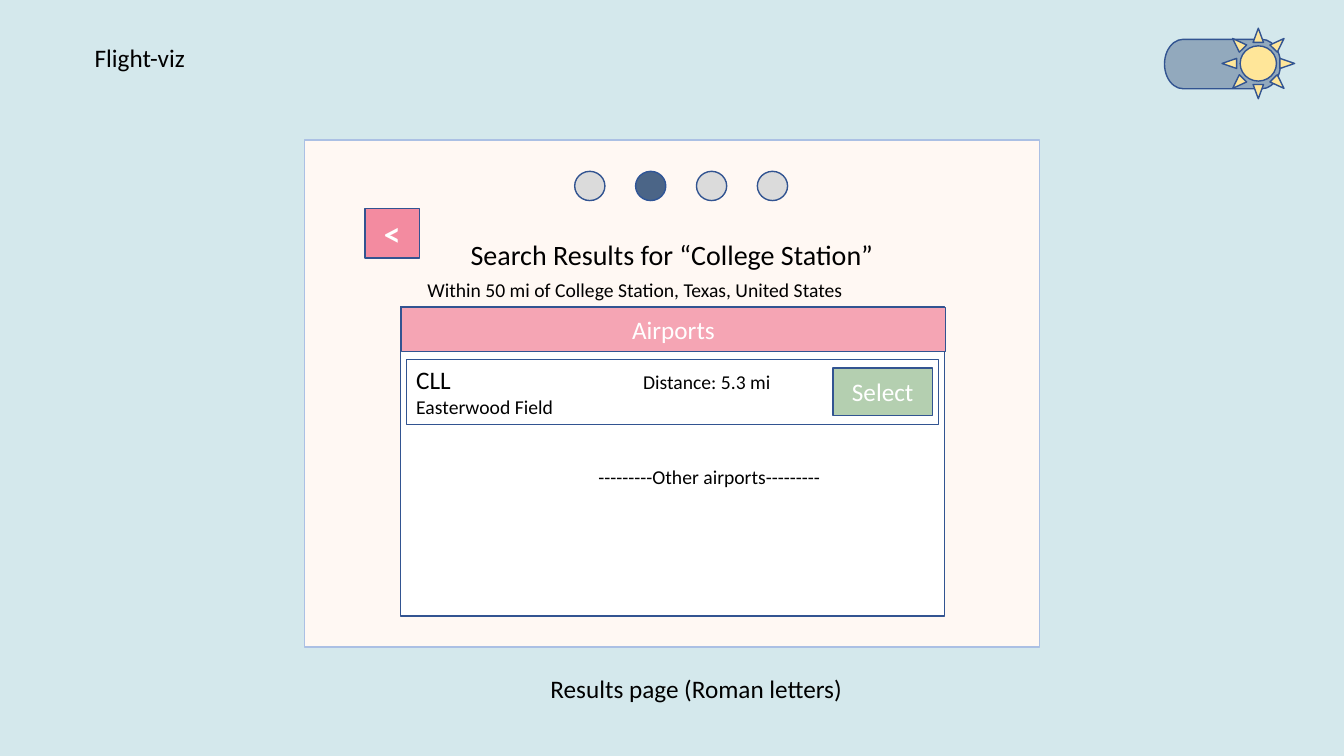
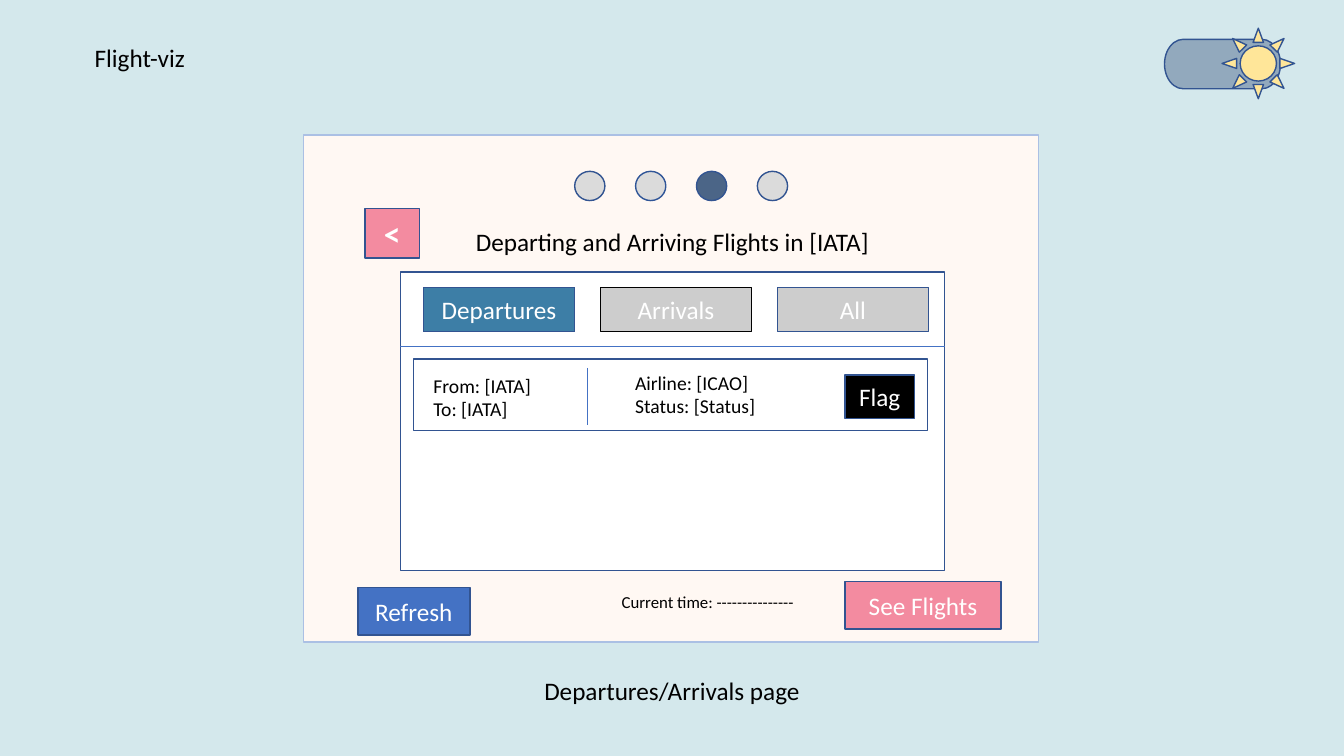
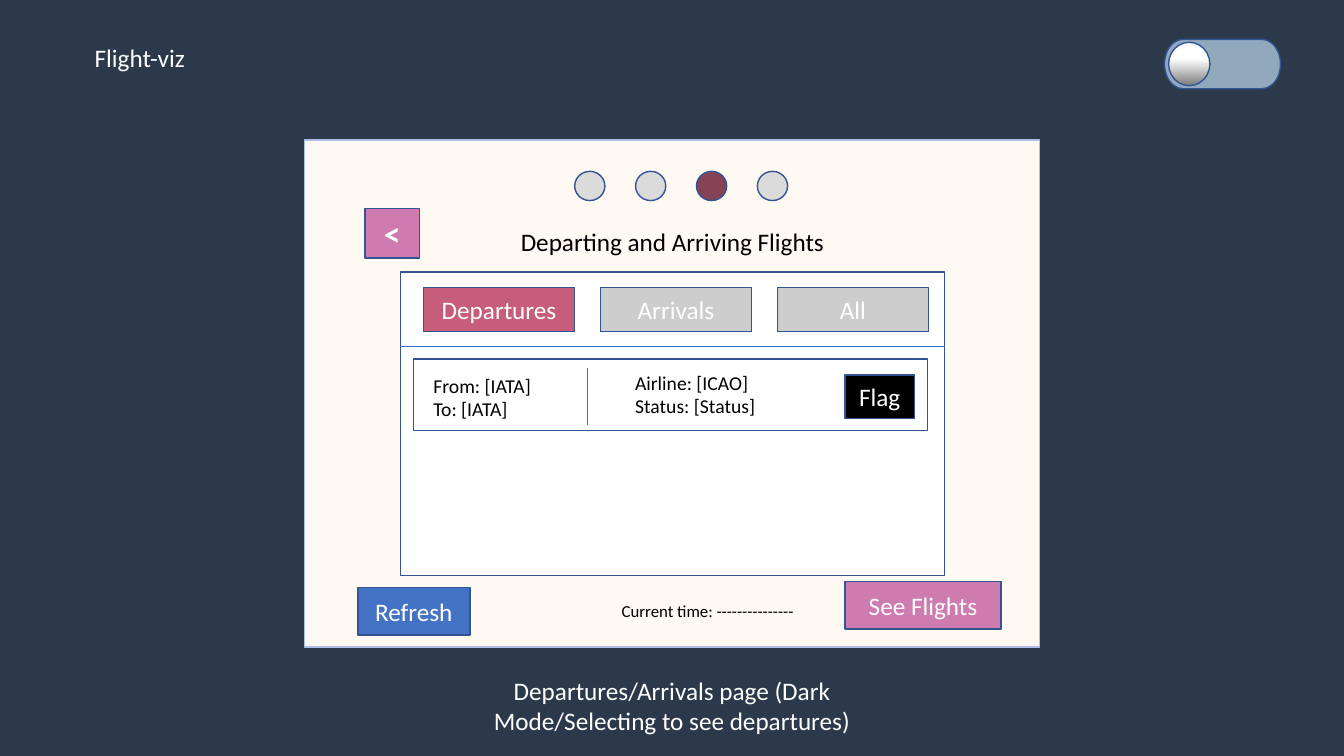
from pptx import Presentation
from pptx.dml.color import RGBColor
from pptx.enum.shapes import MSO_CONNECTOR, MSO_SHAPE
from pptx.enum.text import MSO_ANCHOR, MSO_AUTO_SIZE, PP_ALIGN
from pptx.oxml import parse_xml
from pptx.oxml.ns import nsdecls, qn
from pptx.util import Inches, Pt

RECT, PROCESS = MSO_SHAPE.RECTANGLE, MSO_SHAPE.FLOWCHART_PROCESS
DOT, PILL, SUN = MSO_SHAPE.FLOWCHART_CONNECTOR, MSO_SHAPE.FLOWCHART_TERMINATOR, MSO_SHAPE.SUN
LEFT, CENTER = PP_ALIGN.LEFT, PP_ALIGN.CENTER
TOP, MIDDLE = MSO_ANCHOR.TOP, MSO_ANCHOR.MIDDLE
GROW = MSO_AUTO_SIZE.SHAPE_TO_FIT_TEXT

FONT = "Calibri"
C = {
    "white": "FFFFFF", "black": "000000", "outline": "325491", "rule": "4472C4",
    "panel": "FFF8F3", "panel_line": "ABC0E4", "dot": "DBDBDB", "dot_line": "2F5597",
    "track": "92A9BD", "sun": "FFE699", "tab": "CDCDCD",
    "airports": "F5A5B4", "select": "B4CFB0", "refresh": "4472C4",
}
LIGHT = {"back": "D4E8EC", "text": C["black"], "accent": "F38BA0",
         "active_dot": "4B6587", "active_tab": "3D7EA6"}
DARK = {"back": "2C394B", "text": C["white"], "accent": "CE7BB0",
        "active_dot": "874356", "active_tab": "C65D7B"}
MOON_STOPS = ((6, "F6F8FC"), (14, "FFFFFF"), (38, "FFFFFF"), (100, "7C7C7C"))

APP_NAME = "Flight-viz"
RESULTS = {
    "theme": LIGHT, "step": 1, "panel": (3.02, 1.39),
    "title": "Search Results for \u201cCollege Station\u201d",
    "title_at": (4.18, 2.31, 4.97, 0.44), "title_size": 20,
    "caption": "Results page (Roman letters)", "caption_at": (4.85, 6.63, 4.11, 0.4),
    "scope": "Within 50 mi of College Station, Texas, United States",
    "airport": (("CLL", 18), ("Easterwood Field", 14)),
    "distance": "Distance: 5.3 mi",
    "others": "---------Other airports---------",
}
FLIGHTS = {
    "step": 2, "title_at": (4.55, 2.19, 4.24, 0.4), "title_size": 18,
    "tabs": ("Departures", "Arrivals", "All"),
    "route": ("From: [IATA]", "To: [IATA]"),
    "state": ("Airline: [ICAO]", "Status: [Status]"),
    "clock": "Current time: ---------------",
}
FLIGHTS_LIGHT = FLIGHTS | {
    "theme": LIGHT, "panel": (3.01, 1.34),
    "title": "Departing and Arriving Flights in [IATA]",
    "caption": "Departures/Arrivals page", "caption_at": (4.61, 6.65, 4.11, 0.4),
    "list_height": 2.96, "clock_top": 5.82, "arrivals_line": C["black"],
}
FLIGHTS_DARK = FLIGHTS | {
    "theme": DARK, "panel": (3.02, 1.39),
    "title": "Departing and Arriving Flights",
    "caption": "Departures/Arrivals page (Dark Mode/Selecting to see departures)",
    "caption_at": (4.61, 6.65, 4.11, 0.71),
    "list_height": 3.01, "clock_top": 5.91, "arrivals_line": C["outline"],
}

PANEL_SIZE = (7.29, 5.03)
LIST_LEFT, LIST_WIDTH = 3.97, 5.4
DOT_LEFT, DOT_STEP, DOT_COUNT = 5.7, 0.604, 4
TAB_LEFT, TAB_STEP = 4.2, 1.755


def write(frame, lines, size, color, align=LEFT, anchor=TOP, bold=False):
    """Fill a text frame with lines, each a string or a (string, size) pair."""
    frame.word_wrap = True
    frame.vertical_anchor = anchor
    for index, line in enumerate(lines):
        text, points = line if isinstance(line, tuple) else (line, size)
        paragraph = frame.add_paragraph() if index else frame.paragraphs[0]
        paragraph.text = text
        paragraph.alignment = align
        font = paragraph.font
        font.name, font.size, font.bold = FONT, Pt(points), bold
        font.color.rgb = RGBColor.from_string(color)


def label(slide, at, lines, size=14, color=C["black"], align=LEFT):
    """Add a text box that grows with its lines."""
    frame = slide.shapes.add_textbox(*map(Inches, at)).text_frame
    write(frame, lines, size, color, align)
    frame.auto_size = GROW


def block(slide, kind, at, fill=None, line=C["outline"], width=1):
    """Add a flat outlined shape; no fill leaves it clear."""
    shape = slide.shapes.add_shape(kind, *map(Inches, at))
    shape.shadow.inherit = False
    if fill:
        shape.fill.solid()
        shape.fill.fore_color.rgb = RGBColor.from_string(fill)
    else:
        shape.fill.background()
    shape.line.color.rgb = RGBColor.from_string(line)
    shape.line.width = Pt(width)
    return shape


def button(slide, text, at, fill, kind=PROCESS, line=C["outline"], size=18, bold=False):
    """Add a filled block with white centred text."""
    shape = block(slide, kind, at, fill, line)
    write(shape.text_frame, [text], size, C["white"], CENTER, MIDDLE, bold)


def rule(slide, start, end):
    """Add a thin straight line."""
    line = slide.shapes.add_connector(MSO_CONNECTOR.STRAIGHT, *map(Inches, start + end))
    line.line.color.rgb = RGBColor.from_string(C["rule"])
    line.line.width = Pt(0.5)
    line.element.spPr.append(parse_xml(f"<a:effectLst {nsdecls('a')}/>"))


def draw_moon(slide):
    """Add the shaded knob of the dark-mode switch."""
    moon = block(slide, DOT, (11.59, 0.42, 0.41, 0.43), C["white"], C["dot_line"])
    stops = "".join(f'<a:gs pos="{share * 1000}"><a:srgbClr val="{color}"/></a:gs>'
                    for share, color in MOON_STOPS)
    gradient = parse_xml(f'<a:gradFill {nsdecls("a")} rotWithShape="1"><a:gsLst>{stops}</a:gsLst>'
                         '<a:lin ang="5400000" scaled="0"/></a:gradFill>')
    properties = moon.element.spPr
    properties.replace(properties.find(qn("a:solidFill")), gradient)


def start_page(page):
    """Add a slide with the parts all pages share."""
    theme = page["theme"]
    slide = deck.slides.add_slide(title_only)
    slide.background.fill.solid()
    slide.background.fill.fore_color.rgb = RGBColor.from_string(theme["back"])
    block(slide, RECT, page["panel"] + PANEL_SIZE, C["panel"], C["panel_line"])

    title = slide.shapes.title
    title.left, title.top, title.width, title.height = map(Inches, page["title_at"])
    write(title.text_frame, [page["title"]], page["title_size"], C["black"], CENTER)
    title.text_frame.auto_size = GROW
    title.element.getparent().append(title.element)  # in front of the panel

    label(slide, (0.84, 0.37, 1.24, 0.4), [APP_NAME], 18, theme["text"])
    label(slide, page["caption_at"], [page["caption"]], 18, theme["text"], CENTER)
    block(slide, PILL, (11.55, 0.39, 1.15, 0.49), C["track"])
    if theme is DARK:
        draw_moon(slide)
    else:
        block(slide, SUN, (12.12, 0.28, 0.72, 0.7), C["sun"])
    for step in range(DOT_COUNT):
        block(slide, DOT, (DOT_LEFT + step * DOT_STEP, 1.7, 0.3, 0.29),
              theme["active_dot"] if step == page["step"] else C["dot"],
              C["dot_line"] if step == 1 else C["outline"])
    button(slide, "<", (3.62, 2.07, 0.54, 0.49), theme["accent"], size=24, bold=True)
    return slide


def results_page(page):
    """Build the page that lists the airports found."""
    slide = start_page(page)
    block(slide, RECT, (LIST_LEFT, 3.04, LIST_WIDTH, 3.07), C["white"])
    button(slide, "Airports", (3.98, 3.05, LIST_WIDTH, 0.44), C["airports"], RECT)
    label(slide, (4.14, 2.71, 5.32, 0.34), [page["scope"]])
    airport = block(slide, RECT, (4.03, 3.57, 5.28, 0.64), width=0.75)
    write(airport.text_frame, page["airport"], 18, C["black"])
    airport.text_frame.auto_size = GROW
    label(slide, (6.28, 3.62, 1.53, 0.34), [page["distance"]])
    button(slide, "Select", (8.26, 3.65, 0.99, 0.47), C["select"], RECT)
    label(slide, (5.03, 4.56, 4.01, 0.34), [page["others"]], align=CENTER)


def flights_page(page):
    """Build the page that lists departing and arriving flights."""
    slide, theme = start_page(page), page["theme"]
    block(slide, RECT, (LIST_LEFT, 2.7, LIST_WIDTH, page["list_height"]), C["white"])
    rule(slide, (LIST_LEFT, 3.44), (LIST_LEFT + LIST_WIDTH, 3.44))
    fills = (theme["active_tab"], C["tab"], C["tab"])
    outlines = (C["outline"], page["arrivals_line"], C["outline"])
    for column, (tab, fill, outline) in enumerate(zip(page["tabs"], fills, outlines)):
        button(slide, tab, (TAB_LEFT + column * TAB_STEP, 2.85, 1.5, 0.44), fill, line=outline)

    block(slide, PROCESS, (4.1, 3.56, 5.1, 0.71), C["white"])
    label(slide, (4.2, 3.66, 1.38, 0.57), page["route"])
    rule(slide, (5.83, 3.65), (5.83, 4.22))
    label(slide, (6.2, 3.63, 1.82, 0.57), page["state"])
    button(slide, "Flag", (8.38, 3.72, 0.69, 0.43), C["black"])

    label(slide, (6, page["clock_top"], 2.04, 0.3), [page["clock"]], 12, align=CENTER)
    button(slide, "See Flights", (8.38, 5.77, 1.55, 0.47), theme["accent"])
    button(slide, "Refresh", (3.55, 5.83, 1.11, 0.47), C["refresh"])


deck = Presentation()
deck.slide_width, deck.slide_height = Inches(13.33), Inches(7.5)
title_only = deck.slide_layouts[5]
results_page(RESULTS)
flights_page(FLIGHTS_LIGHT)
flights_page(FLIGHTS_DARK)
deck.save("out.pptx")
